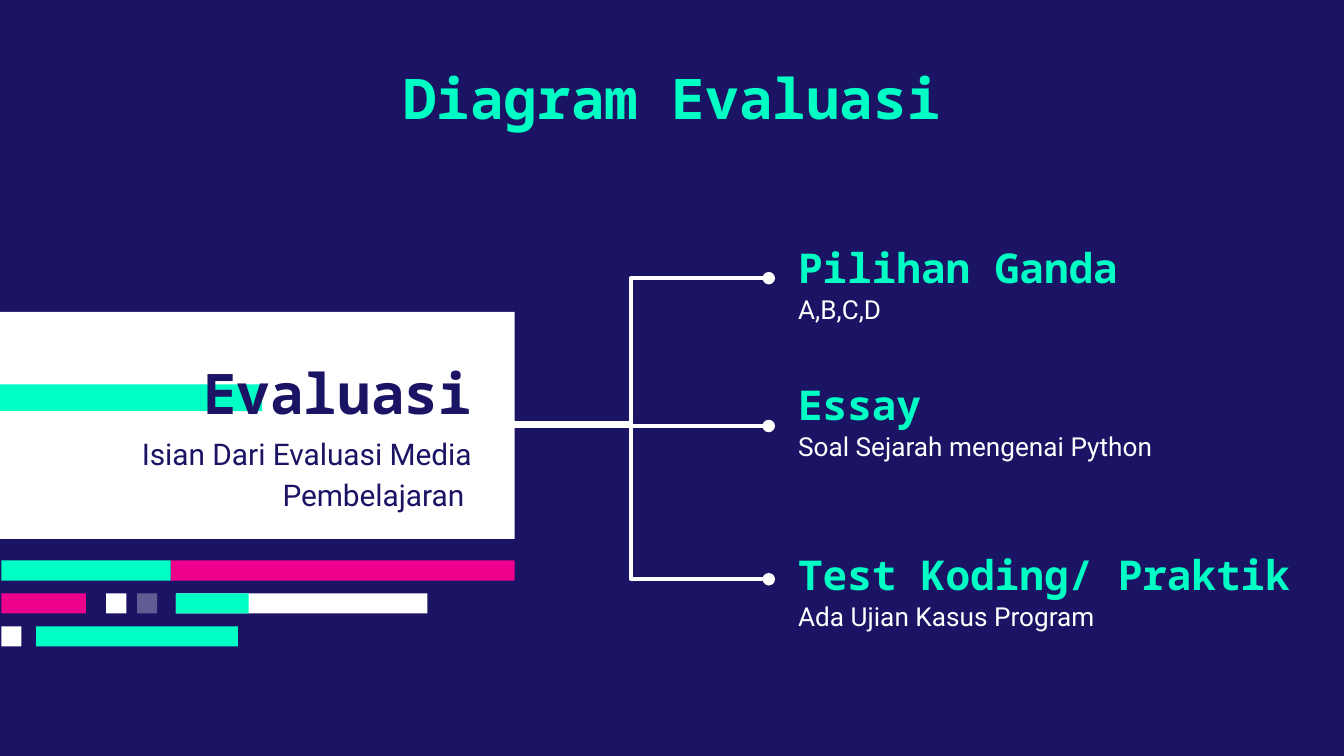
import pptx
import pptx.util
import pptx.dml.color
import pptx.enum.shapes
import pptx.enum.text
import pptx.oxml.ns
import lxml.etree

Inches = pptx.util.Inches
ALIGN = pptx.enum.text.PP_ALIGN
ANCHOR = pptx.enum.text.MSO_ANCHOR
qn = pptx.oxml.ns.qn

NAVY, MINT, PINK, WHITE = "1B1464", "00FFC5", "EC008C", "FFFFFF"
HEADING = {"name": "Noto Sans Mono", "bold": True}
BODY = {"name": "Roboto", "bold": False}


def rgb(hex_color):
    return pptx.dml.color.RGBColor.from_string(hex_color)


def write(s, text, font, size, color, align=ALIGN.LEFT, anchor=ANCHOR.TOP,
          inset=0, **paragraph):
    """Put one formatted paragraph into a shape."""
    tf = s.text_frame
    frame = {"word_wrap": True, "auto_size": pptx.enum.text.MSO_AUTO_SIZE.NONE,
             "vertical_anchor": anchor,
             "margin_left": Inches(0.1), "margin_right": Inches(0.1),
             "margin_top": Inches(inset), "margin_bottom": Inches(inset)}
    for key, value in frame.items():
        setattr(tf, key, value)
    p = tf.paragraphs[0]
    for key, value in {"alignment": align, **paragraph}.items():
        setattr(p, key, value)
    r = p.add_run()
    r.text = text
    for key, value in {**font, "size": pptx.util.Pt(size)}.items():
        setattr(r.font, key, value)
    r.font.color.rgb = rgb(color)


def add_text(slide, box, *args, **kwargs):
    write(slide.shapes.add_textbox(*map(Inches, box)), *args, **kwargs)


def add_bar(slide, box, color, alpha=None):
    s = slide.shapes.add_shape(pptx.enum.shapes.MSO_SHAPE.RECTANGLE, *map(Inches, box))
    s.shadow.inherit = False
    s.fill.solid()
    s.fill.fore_color.rgb = rgb(color)
    s.line.fill.background()
    if alpha is not None:
        srgb = s.element.spPr.find(".//" + qn("a:srgbClr"))
        lxml.etree.SubElement(srgb, qn("a:alpha"), val=str(alpha * 1000))


def add_branch(slide, start, end):
    """White elbow line that ends in a dot."""
    s = slide.shapes.add_connector(pptx.enum.shapes.MSO_CONNECTOR.ELBOW,
                                   *map(Inches, start + end))
    s.line.color.rgb = rgb(WHITE)
    s.line.width = pptx.util.Pt(2.25)
    props = s.element.spPr
    lxml.etree.SubElement(props.find(qn("a:ln")), qn("a:tailEnd"), type="oval")
    lxml.etree.SubElement(props, qn("a:effectLst"))


def add_title(slide, box, text):
    s = slide.shapes.title
    s.left, s.top, s.width, s.height = map(Inches, box)
    write(s, text, HEADING, 30, MINT, ALIGN.CENTER, inset=0.1)


def add_panel(slide, box, heading, text):
    x, y, w, h = box
    add_bar(slide, box, WHITE)
    add_text(slide, (x + 0.95, y + 0.88, 2.66, 0.48), text, BODY, 16, NAVY,
             ALIGN.RIGHT, line_spacing=1.15, space_after=pptx.util.Pt(16))
    add_bar(slide, (x, y + 0.54, 1.95, 0.2), MINT)
    add_text(slide, (x + 0.95, y + 0.38, 2.66, 0.43), heading, HEADING, 30, NAVY,
             ALIGN.RIGHT, ANCHOR.MIDDLE)


def add_code_lines(slide, box):
    """Rows of coloured bars, each bar as offset, width, colour and opacity."""
    left, top, _, height = box
    rows = [
        [(1.26, 2.56, PINK), (0, 1.26, MINT)],
        [(1.3, 1.87, WHITE), (1.3, 0.54, MINT), (0, 0.63, PINK),
         (1.01, 0.15, WHITE, 31), (0.78, 0.15, WHITE)],
        [(0, 0.15, WHITE), (0.26, 1.5, MINT)],
    ]
    bar = 0.15
    pitch = (height - bar) / (len(rows) - 1)
    for i, row in enumerate(rows):
        for offset, width, *paint in row:
            add_bar(slide, (left + offset, top + i * pitch, width, bar), *paint)


def add_item(slide, left, top, heading, text, width=2.95):
    add_text(slide, (left, top, width, 0.3), heading, HEADING, 22, MINT,
             anchor=ANCHOR.MIDDLE)
    add_text(slide, (left, top + 0.31, 2.95, 0.3), text, BODY, 14, WHITE,
             line_spacing=1.15)


def main():
    prs = pptx.Presentation()
    prs.slide_width = Inches(10)
    prs.slide_height = prs.slide_width * 9 // 16
    slide = prs.slides.add_slide(prs.slide_layouts[5])
    slide.background.fill.solid()
    slide.background.fill.fore_color.rgb = rgb(NAVY)

    # Title and main topic
    add_title(slide, (1.4, 0.37, 7.2, 0.73), "Diagram Evaluasi")
    add_panel(slide, (0, 2.32, 3.83, 1.69), "Evaluasi",
              "Isian Dari Evaluasi Media Pembelajaran ")
    add_code_lines(slide, (0.01, 4.17, 3.82, 0.64))

    # Kinds of evaluation
    add_item(slide, 5.84, 1.84, "Pilihan Ganda", "A,B,C,D")
    add_item(slide, 5.84, 2.86, "Essay", "Soal Sejarah mengenai Python")
    add_item(slide, 5.84, 4.12, "Test Koding/ Praktik", "Ada Ujian Kasus Program", 4.61)

    # Branches from the topic to each kind
    for start, end_y in [((3.67, 3.15), 2.07), ((3.67, 3.17), 4.31), ((3.62, 3.16), 3.17)]:
        add_branch(slide, start, (5.72, end_y))

    prs.save("out.pptx")


if __name__ == "__main__":
    main()
